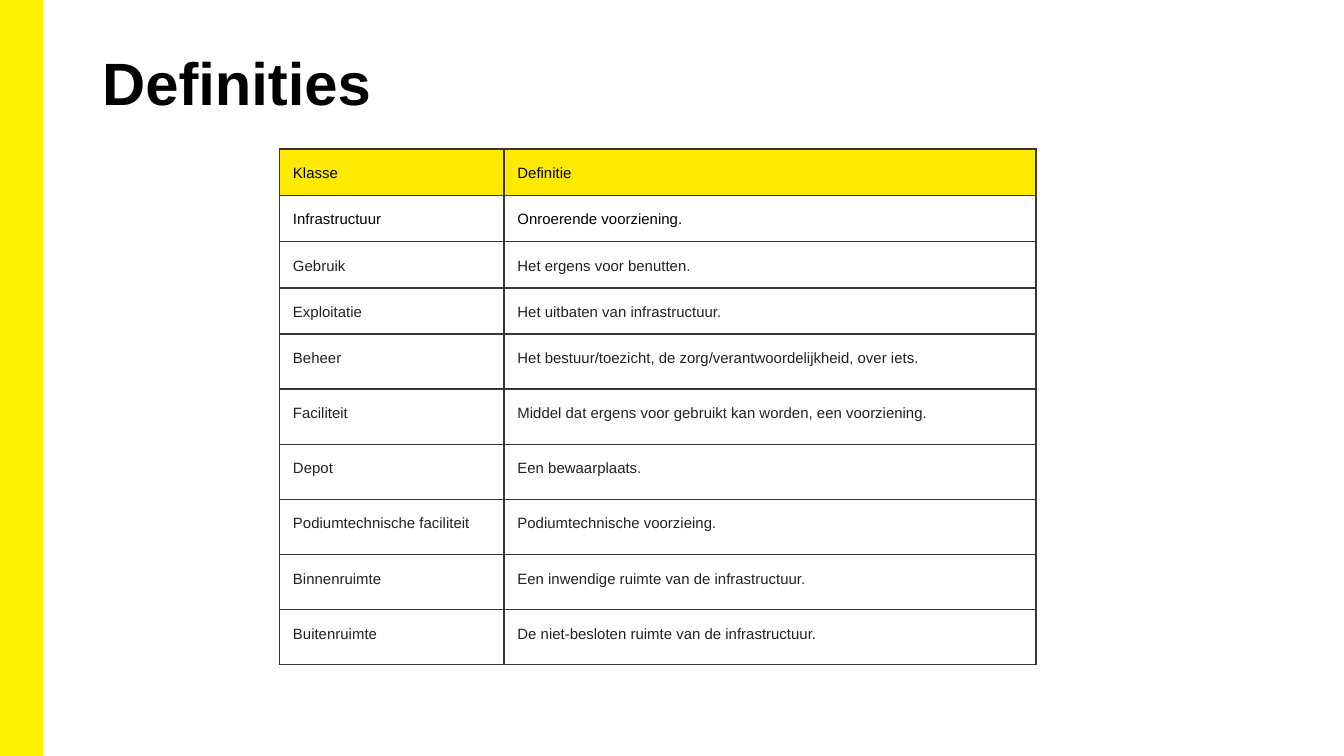
from pptx import Presentation
from pptx.dml.color import RGBColor as Color
from pptx.enum.shapes import MSO_SHAPE as Shape
from pptx.enum.text import MSO_ANCHOR as Anchor
from pptx.oxml.ns import qn
from pptx.util import Inches, Pt
from lxml.etree import SubElement

TITLE = "Definities"
ROWS = [
    ("Klasse", "Definitie"),
    ("Infrastructuur", "Onroerende voorziening."),
    ("Gebruik", "Het ergens voor benutten."),
    ("Exploitatie", "Het uitbaten van infrastructuur."),
    ("Beheer", "Het bestuur/toezicht, de zorg/verantwoordelijkheid, over iets."),
    ("Faciliteit", "Middel dat ergens voor gebruikt kan worden, een voorziening."),
    ("Depot", "Een bewaarplaats."),
    ("Podiumtechnische faciliteit", "Podiumtechnische voorzieing."),
    ("Binnenruimte", "Een inwendige ruimte van de infrastructuur."),
    ("Buitenruimte", "De niet-besloten ruimte van de infrastructuur."),
]
COLUMN_WIDTHS = (1.67, 3.96)
COMPACT_ROWS = 4
ROW_HEIGHTS = [0.34 if i < COMPACT_ROWS else 0.41 for i in range(len(ROWS))]
DARK_ROWS = 2

THEME = {
    "font": "Arial",
    "title_size": 32,
    "cell_size": 8,
    "bar": "FFF200",
    "header": "FFEB00",
    "body": "FFFFFF",
    "black": "000000",
    "text": "202124",
    "border": "373636",
}


def color(name):
    return Color.from_string(THEME[name])


def set_font(para, size, ink, bold=False):
    font = para.font
    font.name = THEME["font"]
    font.size = Pt(THEME[size])
    font.bold = bold
    font.color.rgb = color(ink)


def add_bar(page, height):
    bar = page.shapes.add_shape(Shape.RECTANGLE, 0, 0, Inches(0.31), height)
    bar.shadow.inherit = False
    bar.fill.solid()
    bar.fill.fore_color.rgb = color("bar")
    bar.line.color.rgb = color("bar")
    bar.line.width = Pt(1)


def add_title(page):
    box = page.shapes.add_textbox(Inches(0.69), Inches(0.3), Inches(8.62), Inches(0.81))
    frame = box.text_frame
    frame.word_wrap = True
    frame.margin_left = frame.margin_right = Inches(0.07)
    frame.margin_top = frame.margin_bottom = Inches(0.04)
    para = frame.paragraphs[0]
    para.text = TITLE
    set_font(para, "title_size", "black", bold=True)


def set_borders(cell):
    properties = cell._tc.get_or_add_tcPr()
    for index, side in enumerate(("lnL", "lnR", "lnT", "lnB")):
        line = SubElement(properties, qn(f"a:{side}"), w=str(Pt(1)))
        fill = SubElement(line, qn("a:solidFill"))
        SubElement(fill, qn("a:srgbClr"), val=THEME["border"])
        properties.insert(index, line)


def fill_cell(cell, text, row):
    cell.margin_left = cell.margin_right = Inches(0.1)
    cell.margin_top = cell.margin_bottom = Inches(0.1)
    cell.vertical_anchor = Anchor.TOP
    cell.fill.solid()
    cell.fill.fore_color.rgb = color("body" if row else "header")
    set_borders(cell)
    para = cell.text_frame.paragraphs[0]
    para.text = text
    para.line_spacing = 1.15
    set_font(para, "cell_size", "black" if row < DARK_ROWS else "text")


def add_definitions(page):
    table = page.shapes.add_table(
        len(ROWS), len(COLUMN_WIDTHS), Inches(2.08), Inches(1.11),
        Inches(sum(COLUMN_WIDTHS)), Inches(sum(ROW_HEIGHTS))).table
    for column, width in zip(table.columns, COLUMN_WIDTHS):
        column.width = Inches(width)
    for row, (texts, height) in enumerate(zip(ROWS, ROW_HEIGHTS)):
        table.rows[row].height = Inches(height)
        for column, text in enumerate(texts):
            fill_cell(table.cell(row, column), text, row)


def main():
    deck = Presentation()
    deck.slide_width = Inches(10)
    deck.slide_height = deck.slide_width * 9 // 16
    page = deck.slides.add_slide(deck.slide_layouts[6])
    add_bar(page, deck.slide_height)
    add_definitions(page)
    add_title(page)
    deck.save("out.pptx")


if __name__ == "__main__":
    main()
